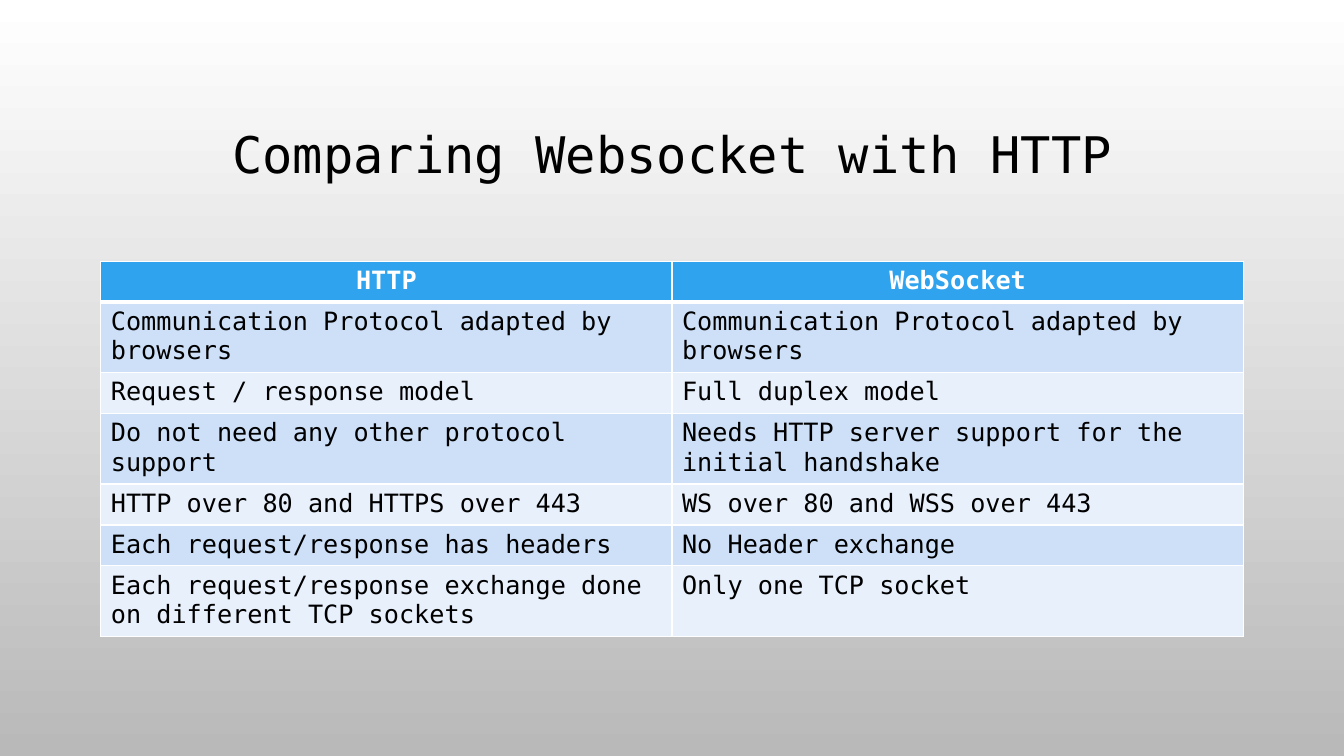
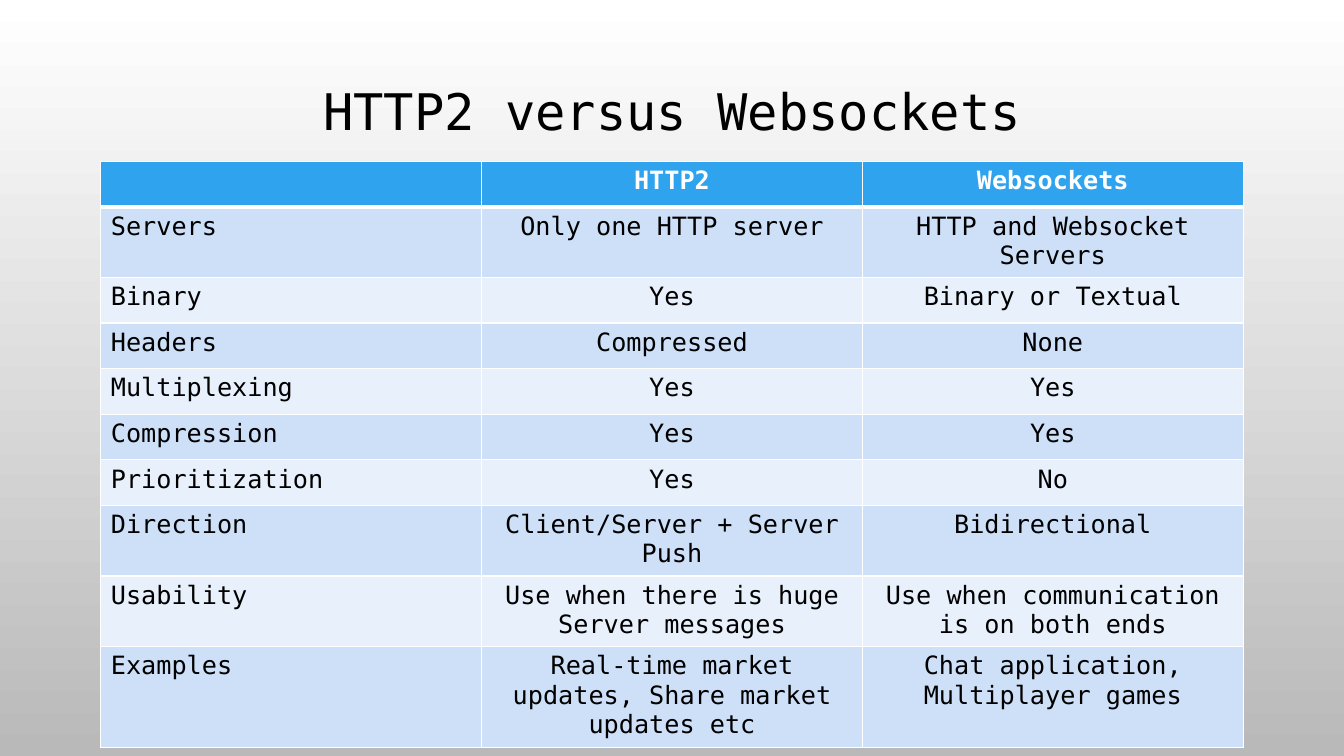
"""Two slides that compare HTTP and HTTP2 with WebSocket."""
from collections import namedtuple
from dataclasses import dataclass

from pptx import Presentation
from pptx.dml.color import RGBColor
from pptx.enum.text import MSO_ANCHOR, PP_ALIGN
from pptx.oxml.ns import qn
from pptx.util import Cm, Pt
from lxml import etree

LEFT, CENTER = PP_ALIGN.LEFT, PP_ALIGN.CENTER
MIDDLE = MSO_ANCHOR.MIDDLE

Box = namedtuple("Box", "left top width height")


@dataclass(frozen=True)
class Theme:
    """Colours, font, and sizes in points shared by the slides."""
    font: str = "DejaVu Sans Mono"
    ink: str = "000000"
    white: str = "FFFFFF"
    backdrop_end: str = "B9B9B9"
    header: str = "2FA3EE"
    bands: tuple = ("CDE0F8", "E8F0FC")
    title_size: int = 36
    body_size: int = 18
    rule: int = 1
    header_rule: int = 3


THEME = Theme()
MARGIN = Cm(2.54)
CONTENT_WIDTH = Cm(28.79)
TITLE_HEIGHT = Cm(4.45)

PROTOCOL_ROWS = [
    ("HTTP", "WebSocket"),
    ("Communication Protocol adapted by browsers",
     "Communication Protocol adapted by browsers"),
    ("Request / response model", "Full duplex model"),
    ("Do not need any other protocol support",
     "Needs HTTP server support for the initial handshake"),
    ("HTTP over 80 and HTTPS over 443", "WS over 80 and WSS over 443"),
    ("Each request/response has headers", "No Header exchange"),
    ("Each request/response exchange done on different TCP sockets",
     "Only one TCP socket"),
]

FEATURE_ROWS = [
    ("", "HTTP2", "Websockets"),
    ("Servers", "Only one HTTP server", "HTTP and Websocket Servers"),
    ("Binary", "Yes", "Binary or Textual"),
    ("Headers", "Compressed", "None"),
    ("Multiplexing", "Yes", "Yes"),
    ("Compression", "Yes", "Yes"),
    ("Prioritization", "Yes", "No"),
    ("Direction", "Client/Server + Server Push", "Bidirectional"),
    ("Usability", "Use when there is huge Server messages",
     "Use when communication is on both ends"),
    ("Examples", "Real-time market updates, Share market updates etc",
     "Chat application, Multiplayer games"),
]


def write(para, text, size, color, align, bold=False):
    """Add one styled run to an aligned paragraph."""
    para.alignment = align
    para.font.size = Pt(size)
    if not text:
        return
    span = para.add_run()
    span.text = text
    span.font.name = THEME.font
    span.font.size = Pt(size)
    span.font.bold = bold
    span.font.color.rgb = RGBColor.from_string(color)


def paint_background(page):
    """Fill the page with a gradient that darkens downwards."""
    fill = page.background.fill
    fill.gradient()
    fill.gradient_angle = 270
    for stop, color in zip(fill.gradient_stops, (THEME.white, THEME.backdrop_end)):
        stop.color.rgb = RGBColor.from_string(color)


def add_title(page, box, text):
    """Place a centred title in the middle of the box."""
    frame = page.shapes.add_textbox(*box).text_frame
    frame.word_wrap = True
    frame.vertical_anchor = MIDDLE
    para = frame.paragraphs[0]
    para.line_spacing = 0.9
    write(para, text, THEME.title_size, THEME.ink, CENTER)


def add_borders(cell, top, bottom):
    """Draw white cell borders, with the top and bottom widths in points."""
    properties = cell._tc.get_or_add_tcPr()
    widths = {"a:lnL": THEME.rule, "a:lnR": THEME.rule, "a:lnT": top, "a:lnB": bottom}
    for tag, width in widths.items():
        line = etree.SubElement(properties, qn(tag), w=str(Pt(width)))
        fill = etree.SubElement(line, qn("a:solidFill"))
        etree.SubElement(fill, qn("a:srgbClr"), val=THEME.white)


def add_comparison(page, box, rows, body_aligns):
    """Fill the box with a banded table whose first row is the header."""
    column_count = len(body_aligns)
    table = page.shapes.add_table(len(rows), column_count, *box).table
    for column in table.columns:
        column.width = box.width // column_count
    for row_index, texts in enumerate(rows):
        is_header = row_index == 0
        background = THEME.header if is_header else THEME.bands[(row_index - 1) % 2]
        color = THEME.white if is_header else THEME.ink
        top = THEME.header_rule if row_index == 1 else THEME.rule
        bottom = THEME.header_rule if is_header else THEME.rule
        for column_index, text in enumerate(texts):
            cell = table.cell(row_index, column_index)
            add_borders(cell, top, bottom)
            cell.fill.solid()
            cell.fill.fore_color.rgb = RGBColor.from_string(background)
            align = CENTER if is_header else body_aligns[column_index]
            write(cell.text_frame.paragraphs[0], text, THEME.body_size, color,
                  align, is_header)


def add_comparison_page(deck, title, title_top, rows, table_top, row_height, body_aligns):
    """Add a page with a title above a comparison table."""
    page = deck.slides.add_slide(deck.slide_layouts[6])
    paint_background(page)
    add_title(page, Box(MARGIN, title_top, CONTENT_WIDTH, TITLE_HEIGHT), title)
    table_box = Box(MARGIN, table_top, CONTENT_WIDTH, row_height * len(rows))
    add_comparison(page, table_box, rows, body_aligns)


def main():
    """Build and save the deck."""
    deck = Presentation()
    deck.slide_width, deck.slide_height = Cm(33.87), Cm(19.05)
    add_comparison_page(deck, "Comparing Websocket with HTTP", Cm(1.73),
                        PROTOCOL_ROWS, Cm(6.58), Cm(1.03), (LEFT, LEFT))
    add_comparison_page(deck, "HTTP2 versus Websockets", Cm(0.66),
                        FEATURE_ROWS, Cm(4.06), Cm(1.15), (LEFT, CENTER, CENTER))
    deck.save("out.pptx")


main()
